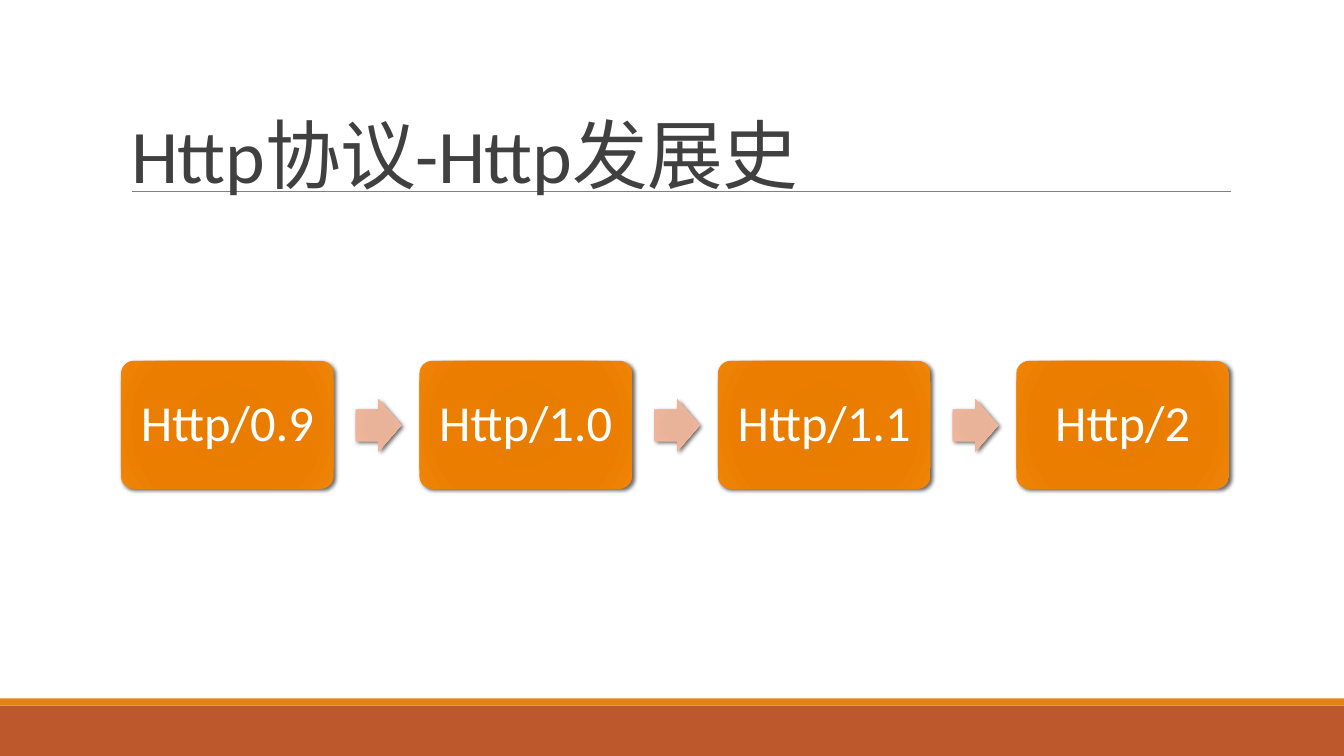
from dataclasses import dataclass

from lxml.etree import SubElement
from pptx import Presentation
from pptx.dml.color import RGBColor
from pptx.enum.shapes import MSO_CONNECTOR, MSO_SHAPE
from pptx.enum.text import MSO_ANCHOR, MSO_AUTO_SIZE, PP_ALIGN
from pptx.oxml import parse_xml
from pptx.oxml.ns import nsdecls, qn
from pptx.util import Inches, Pt


@dataclass(frozen=True)
class Theme:
    font: str = "Calibri"
    title_size: int = 54
    step_size: int = 36
    title: str = "404040"
    step_text: str = "FFFFFF"
    rule: str = "808080"
    band: str = "BD582C"
    stripe: str = "E48312"
    shadow: str = "000000"
    step: tuple = ((0, "E57B00"), (34, "E87D00"), (70, "EB7E00"), (100, "EF8407"))
    arrow: tuple = ((0, "E8B196"), (34, "E9B399"), (70, "EEB59A"), (100, "F3C0A8"))


class Deck:
    """Draws styled elements on the current slide."""

    def __init__(self, prs, theme):
        self.theme = theme
        self.s = prs.slides.add_slide(prs.slide_layouts[5])

    def put_text(self, tf, text, size, color, frame, para):
        tf.text = text
        p = tf.paragraphs[0]
        r = p.runs[0]
        font = {"name": self.theme.font, "size": Pt(size), "bold": False}
        for target, values in ((tf, frame), (p, para), (r.font, font)):
            for key, value in values.items():
                setattr(target, key, value)
        r.font.color.rgb = RGBColor.from_string(color)

    def shape(self, kind, box, adjustments=()):
        sp = self.s.shapes.add_shape(kind, *map(Inches, box))
        for i, value in enumerate(adjustments):
            sp.adjustments[i] = value
        sp.line.fill.background()
        sp.shadow.inherit = False
        return sp

    def bar(self, box, color):
        sp = self.shape(MSO_SHAPE.RECTANGLE, box)
        sp.fill.solid()
        sp.fill.fore_color.rgb = RGBColor.from_string(color)

    def raised(self, kind, box, adjustments, stops):
        sp = self.shape(kind, box, adjustments)
        stop_xml = "".join(
            f'<a:gs pos="{pos * 1000}"><a:srgbClr val="{color}"/></a:gs>' for pos, color in stops)
        gradient = parse_xml(
            f'<a:gradFill {nsdecls("a")} rotWithShape="1"><a:gsLst>{stop_xml}</a:gsLst>'
            '<a:path path="circle"><a:fillToRect l="100000" t="100000" r="100000" b="100000"/>'
            '</a:path></a:gradFill>')
        spPr = sp.element.spPr
        spPr.find(qn("a:prstGeom")).addnext(gradient)
        shadow = SubElement(spPr.find(qn("a:effectLst")), qn("a:outerShdw"),
                            blurRad=str(Pt(3)), dist=str(Pt(2)), dir=str(45 * 60000),
                            algn="ctr", rotWithShape="0")
        color = SubElement(shadow, qn("a:srgbClr"), val=self.theme.shadow)
        SubElement(color, qn("a:alpha"), val="60000")
        return sp

    def step(self, box, text):
        sp = self.raised(MSO_SHAPE.ROUNDED_RECTANGLE, box, (0.1,), self.theme.step)
        self.put_text(sp.text_frame, text, self.theme.step_size, self.theme.step_text,
                      {"word_wrap": False, "vertical_anchor": MSO_ANCHOR.MIDDLE},
                      {"alignment": PP_ALIGN.CENTER, "line_spacing": 0.9})

    def arrow(self, box):
        self.raised(MSO_SHAPE.RIGHT_ARROW, box, (0.6, 0.5), self.theme.arrow)

    def rule(self, x1, x2, y):
        line = self.s.shapes.add_connector(
            MSO_CONNECTOR.STRAIGHT, Inches(x1), Inches(y), Inches(x2), Inches(y))
        line.line.width = Pt(0.5)
        line.line.color.rgb = RGBColor.from_string(self.theme.rule)
        SubElement(line.element.spPr, qn("a:effectLst"))

    def title(self, box, text):
        sp = self.s.shapes.title
        sp.left, sp.top, sp.width, sp.height = map(Inches, box)
        self.put_text(sp.text_frame, text, self.theme.title_size, self.theme.title,
                      {"word_wrap": True, "vertical_anchor": MSO_ANCHOR.BOTTOM,
                       "auto_size": MSO_AUTO_SIZE.NONE},
                      {"alignment": PP_ALIGN.LEFT, "line_spacing": 0.85})
        sp.element.find(f".//{qn('a:rPr')}").set("spc", "-50")
        sp.element.getparent().append(sp.element)


def main():
    prs = Presentation()
    prs.slide_width, prs.slide_height = Inches(13.33), Inches(7.5)
    theme = Theme()
    deck = Deck(prs, theme)
    deck.bar((0, 7, 13.33, 0.5), theme.band)
    deck.bar((0, 6.93, 13.33, 0.07), theme.stripe)
    deck.rule(1.31, 12.21, 1.9)
    deck.title((1.2, 0.43, 11, 1.59), "Http协议-Http发展史")

    versions = ("Http/0.9", "Http/1.0", "Http/1.1", "Http/2")
    left, pitch = 1.2, 2.96
    for i, version in enumerate(versions):
        x = left + i * pitch
        if i:
            deck.arrow((x - 0.63, 3.96, 0.45, 0.52))
        deck.step((x, 3.58, 2.11, 1.27), version)
    prs.save("out.pptx")


if __name__ == "__main__":
    main()
